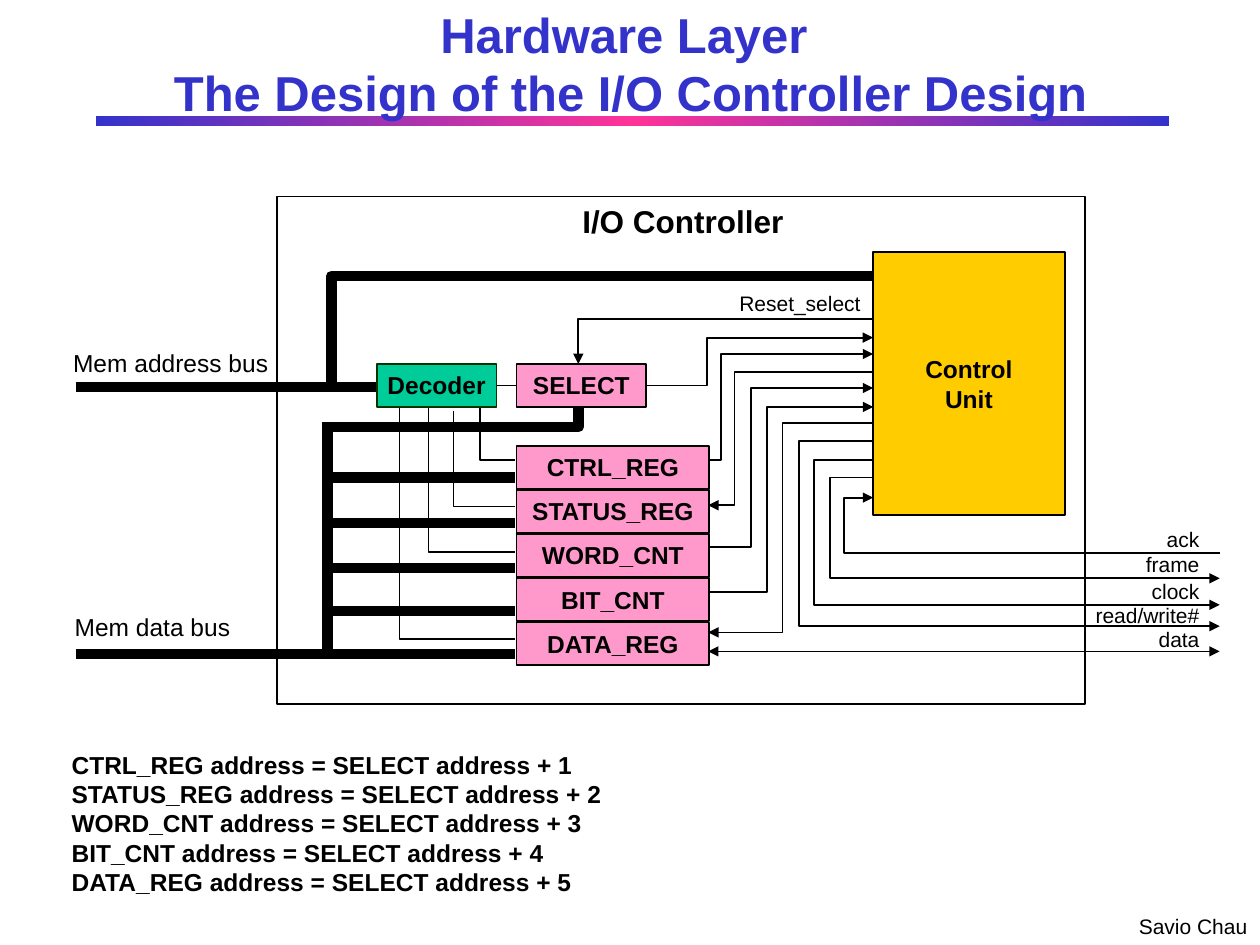
from copy import deepcopy

from lxml.etree import SubElement
from pptx import Presentation
from pptx.dml.color import RGBColor
from pptx.enum.shapes import MSO_CONNECTOR, MSO_SHAPE
from pptx.enum.text import MSO_ANCHOR, PP_ALIGN
from pptx.oxml.ns import qn
from pptx.util import Inches, Pt

COLORS = {
    "ink": "000000",
    "title": "3333CC",
    "accent": "FF3399",
    "register": "FF99CC",
    "control": "FFCC00",
    "decoder": "00CC99",
    "decoder_edge": "003300",
}
REGISTERS = ["CTRL_REG", "STATUS_REG", "WORD_CNT", "BIT_CNT", "DATA_REG"]
REGISTER_LEFT, REGISTER_TOP, REGISTER_STEP = 4.1, 3.54, 0.35
REGISTER_WIDTH, BLOCK_HEIGHT = 1.53, 0.34
REGISTER_RIGHT = 5.62
CONTROL_LEFT = 6.93
BUS_X, BUS_WIDTH = 2.6, 6
SIGNAL_END, SIGNAL_LABEL_RIGHT = 9.68, 9.52


def color(name):
    return RGBColor.from_string(COLORS[name])


def write(shape, text, size=14, bold=False, ink="ink", align=PP_ALIGN.CENTER,
          anchor=MSO_ANCHOR.TOP, inset=(0, 0), wrap=True):
    frame = shape.text_frame
    frame.word_wrap = wrap
    frame.vertical_anchor = anchor
    frame.margin_left = frame.margin_right = Inches(inset[0])
    frame.margin_top = frame.margin_bottom = Inches(inset[1])
    frame.text = text
    for para in frame.paragraphs:
        para.alignment = align
        for span in para.runs:
            span.font.name = "Arial"
            span.font.size = Pt(size)
            span.font.bold = bold
            span.font.color.rgb = color(ink)


def add_label(page, text, left, top, width, height, **style):
    box = page.shapes.add_textbox(Inches(left), Inches(top), Inches(width), Inches(height))
    write(box, text, **style)


def add_box(page, left, top, width, height, fill=None, edge="ink"):
    box = page.shapes.add_shape(
        MSO_SHAPE.RECTANGLE, Inches(left), Inches(top), Inches(width), Inches(height))
    box.shadow.inherit = False
    if fill:
        box.fill.solid()
        box.fill.fore_color.rgb = color(fill)
    else:
        box.fill.background()
    if edge:
        box.line.color.rgb = color(edge)
        box.line.width = Pt(1)
    else:
        box.line.fill.background()
    return box


def add_block(page, text, left, top, width, height=BLOCK_HEIGHT, fill="register",
              edge="ink", inset=0.1, anchor=MSO_ANCHOR.TOP):
    box = add_box(page, left, top, width, height, fill, edge)
    write(box, text, bold=True, anchor=anchor, inset=(inset, 0.05))


def style_line(shape, width, head, tail):
    shape.line.color.rgb = color("ink")
    shape.line.width = Pt(width)
    line = shape.line._get_or_add_ln()
    for tag, shown in (("a:headEnd", head), ("a:tailEnd", tail)):
        if shown:
            SubElement(line, qn(tag)).set("type", "triangle")


def add_line(page, start, end, width=1, head=False, tail=False):
    line = page.shapes.add_connector(
        MSO_CONNECTOR.STRAIGHT, *(Inches(value) for value in start + end))
    style_line(line, width, head, tail)
    SubElement(line._element.spPr, qn("a:effectLst"))


def add_wire(page, points, width=1, head=False, tail=False):
    corners = [(Inches(x), Inches(y)) for x, y in points]
    builder = page.shapes.build_freeform(*corners[0])
    builder.add_line_segments(corners[1:], close=False)
    wire = builder.convert_to_shape()
    wire.shadow.inherit = False
    wire.fill.background()
    style_line(wire, width, head, tail)


def add_header(page):
    bar = add_box(page, 0.76, 0.92, 8.52, 0.08, edge=None)
    bar.fill.gradient()
    bar.fill.gradient_angle = 0
    stops = bar._element.spPr.find(qn("a:gradFill")).find(qn("a:gsLst"))
    stops.insert(1, deepcopy(stops[0]))
    looks = ((0, "title"), (0.5, "accent"), (1, "title"))
    for stop, (position, name) in zip(bar.fill.gradient_stops, looks):
        stop.position = position
        stop.color.rgb = color(name)
    add_label(page, "Hardware Layer \vThe Design of the I/O Controller Design",
              0.41, 0, 9.19, 1, size=28, bold=True, ink="title",
              anchor=MSO_ANCHOR.MIDDLE, inset=(0.1, 0.05))


def add_buses(page):
    add_line(page, (BUS_X, 3.35), (BUS_X, 5.21), BUS_WIDTH)
    for y in (3.79, 4.15, 4.51, 4.85):
        add_line(page, (BUS_X, y), (4.09, y), BUS_WIDTH)
    add_line(page, (0.6, 5.19), (4.09, 5.19), BUS_WIDTH)
    add_line(page, (0.6, 3.07), (3, 3.07), BUS_WIDTH)
    add_wire(page, [(2.63, 3.07), (2.63, 2.19), (CONTROL_LEFT, 2.19)], BUS_WIDTH)
    add_wire(page, [(4.59, 3.23), (4.59, 3.39), (2.58, 3.39)], BUS_WIDTH)
    add_label(page, "Mem address bus", 0.58, 2.76, 1.55, 0.23, wrap=False)
    add_label(page, "Mem data bus", 0.59, 4.86, 1.24, 0.23, wrap=False)


def add_decoder_wires(page):
    for x, top, y in ((3.81, 3.24, 3.65), (3.6, 3.26, 4.02),
                      (3.4, 3.22, 4.38), (3.17, 3.24, 5.07)):
        add_wire(page, [(x, top), (x, y), (4.09, y)])


def add_control_wires(page):
    for control_y, x, register_y, to_control in (
            (2.81, 5.72, 3.65, True), (2.95, 5.83, 4.01, False),
            (3.08, 5.96, 4.34, True), (3.23, 6.09, 4.7, True),
            (3.36, 6.21, 5.02, False)):
        add_wire(page, [(CONTROL_LEFT, control_y), (x, control_y),
                        (x, register_y), (REGISTER_RIGHT, register_y)],
                 head=to_control, tail=not to_control)
    add_wire(page, [(3.93, 3.06), (5.61, 3.06), (5.61, 2.68), (CONTROL_LEFT, 2.68)], tail=True)
    add_wire(page, [(CONTROL_LEFT, 2.53), (4.59, 2.53), (4.59, 2.89)], tail=True)
    add_label(page, "Reset_select", 5.82, 2.31, 1.06, 0.2, size=12, wrap=False)


def add_signals(page):
    for control_y, x, y, incoming in (
            (3.95, 6.7, 4.39, True), (3.79, 6.59, 4.59, False),
            (3.65, 6.46, 4.8, False), (3.5, 6.34, 4.97, False)):
        add_wire(page, [(CONTROL_LEFT, control_y), (x, control_y), (x, y), (SIGNAL_END, y)],
                 head=incoming, tail=not incoming)
    add_line(page, (REGISTER_RIGHT, 5.17), (SIGNAL_END, 5.17), head=True, tail=True)
    for text, top, width in (("ack", 4.18, 0.26), ("frame", 4.38, 0.43),
                             ("clock", 4.59, 0.38), ("read/write#", 4.78, 0.83),
                             ("data", 4.97, 0.33)):
        add_label(page, text, SIGNAL_LABEL_RIGHT - width, top, width, 0.2, size=12,
                  align=PP_ALIGN.RIGHT, anchor=MSO_ANCHOR.MIDDLE, wrap=False)


def add_blocks(page):
    add_block(page, "Control\nUnit", CONTROL_LEFT, 2, 1.52, 2.09, fill="control",
              anchor=MSO_ANCHOR.MIDDLE)
    add_block(page, "Decoder", 2.99, 2.89, 0.95, fill="decoder",
              edge="decoder_edge", inset=0.05)
    add_block(page, "SELECT", REGISTER_LEFT, 2.89, 1.03, inset=0.05)
    for row, name in enumerate(REGISTERS):
        add_block(page, name, REGISTER_LEFT, REGISTER_TOP + row * REGISTER_STEP, REGISTER_WIDTH)


def main():
    deck = Presentation()
    deck.slide_width, deck.slide_height = Inches(10), Inches(7.5)
    page = deck.slides.add_slide(deck.slide_layouts[6])
    add_header(page)
    add_box(page, 2.2, 1.56, 6.41, 4.03)
    add_label(page, "I/O Controller", 4.62, 1.6, 1.6, 0.3, size=18, bold=True, wrap=False)
    add_buses(page)
    add_decoder_wires(page)
    add_control_wires(page)
    add_signals(page)
    add_blocks(page)
    addresses = [f"{name} address = SELECT address + {offset}"
                 for offset, name in enumerate(REGISTERS, 1)]
    add_label(page, "\n".join(addresses), 0.47, 5.9, 4.44, 1.27, bold=True,
              align=PP_ALIGN.LEFT, inset=(0.1, 0.05), wrap=False)
    add_label(page, "Savio Chau", 8.94, 7.2, 1.06, 0.3, size=12,
              align=PP_ALIGN.LEFT, inset=(0.1, 0.05), wrap=False)
    deck.save("out.pptx")


if __name__ == "__main__":
    main()
